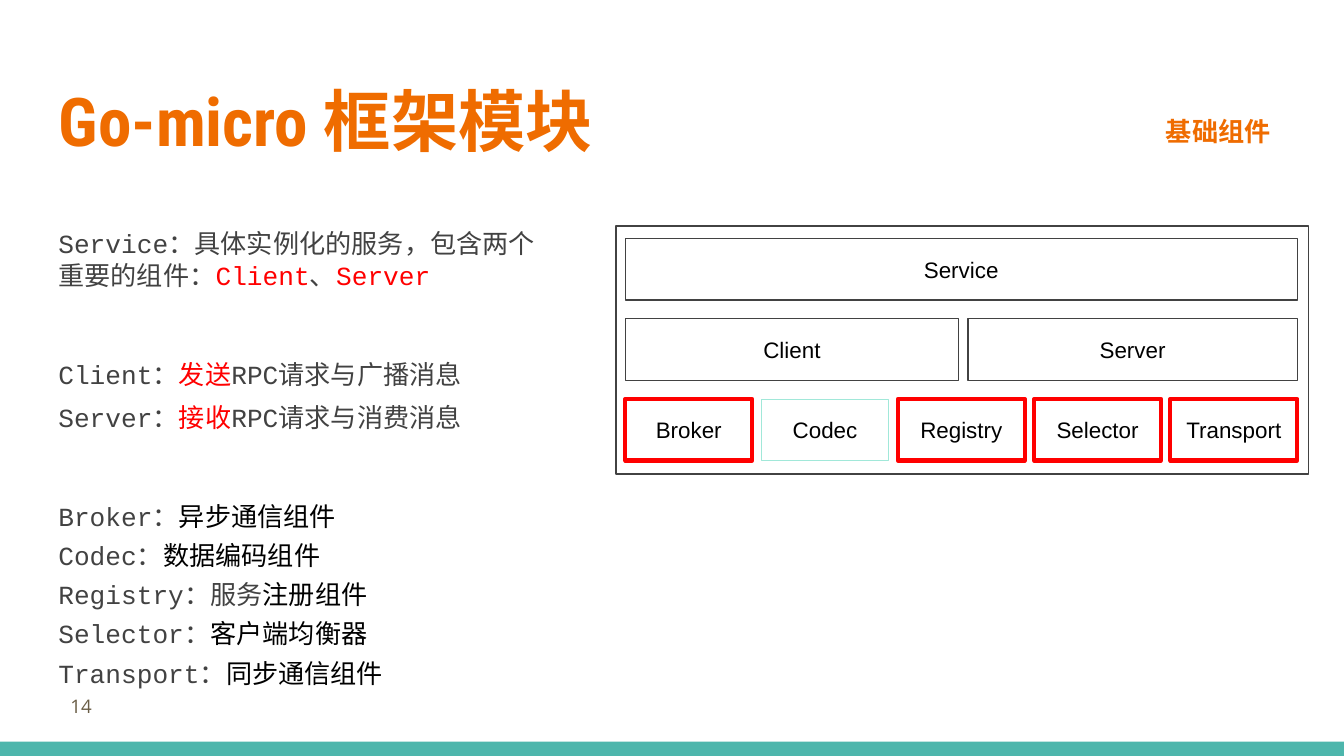
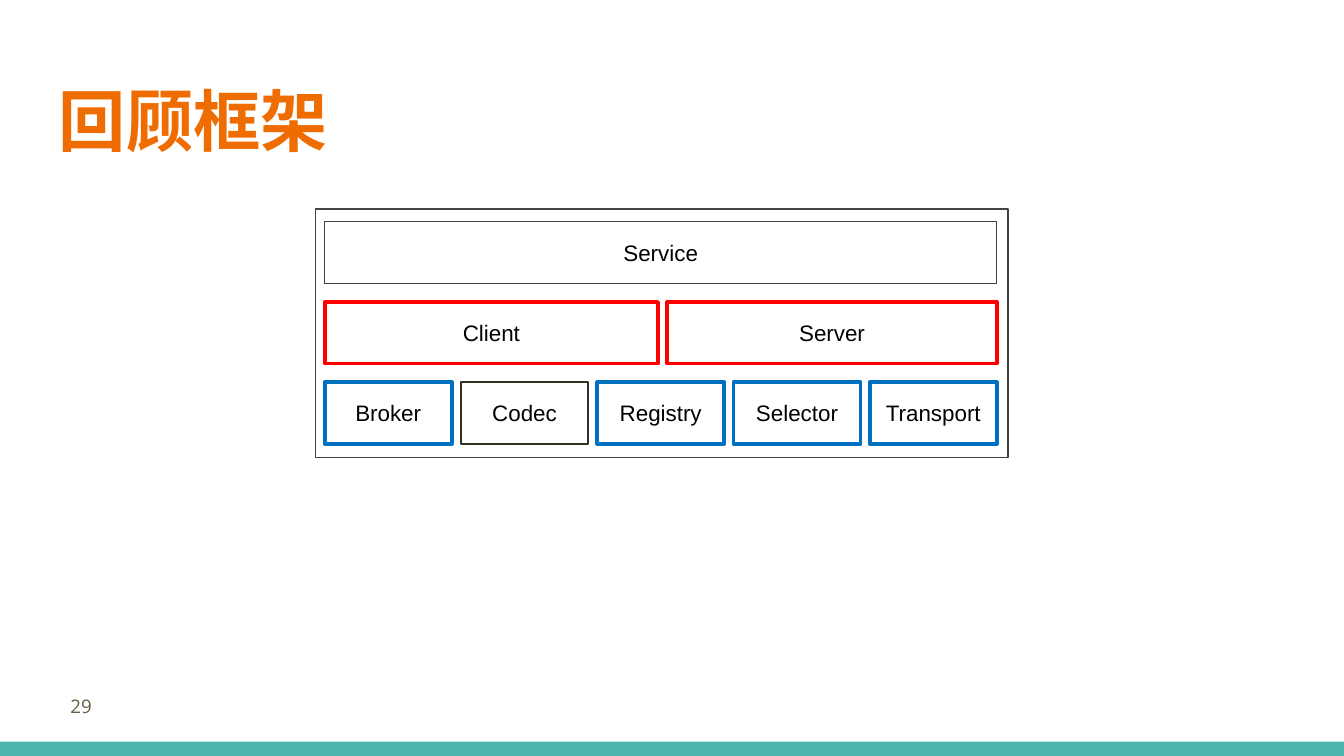
import pptx
import pptx.util
import pptx.dml.color
import pptx.enum.shapes
import pptx.enum.text

Pt = pptx.util.Pt
ALIGN = pptx.enum.text.PP_ALIGN
ANCHOR = pptx.enum.text.MSO_ANCHOR
RECTANGLE = pptx.enum.shapes.MSO_SHAPE.RECTANGLE

ORANGE, TEAL, BROWN = "EF6C00", "4DB6AC", "695D46"
GREY, BLACK, RED, BLUE = "424242", "000000", "FF0000", "0070C0"


def color(value):
    return pptx.dml.color.RGBColor.from_string(value)


def write(shape, runs, font, size, insets=(0, 0, 0, 0), bold=False,
          align=ALIGN.LEFT, anchor=ANCHOR.TOP, wrap=True):
    frame = shape.text_frame
    frame.word_wrap = wrap
    frame.vertical_anchor = anchor
    frame.margin_left, frame.margin_top, frame.margin_right, frame.margin_bottom = map(Pt, insets)
    paragraph = frame.paragraphs[0]
    paragraph.alignment = align
    for text, tint in runs:
        run = paragraph.add_run()
        run.text = text
        run.font.name = font
        run.font.size = Pt(size)
        run.font.bold = bold
        run.font.color.rgb = color(tint)


deck = pptx.Presentation()
deck.slide_width, deck.slide_height = Pt(720), Pt(405)

pages = [
    ("Go-micro 框架模块", "14", (330, 121), (GREY, 0.75), (RED, 2.25), ("A1E8D9", 0.25)),
    ("回顾框架", "29", (169, 112), (RED, 2), (BLUE, 2), ("342E23", 1)),
]

for title, number, (left, top), endpoint_line, plugin_line, codec_line in pages:
    slide = deck.slides.add_slide(deck.slide_layouts[6])

    band = slide.shapes.add_shape(RECTANGLE, 0, Pt(397.3), Pt(720), Pt(7.7))
    band.shadow.inherit = False
    band.fill.solid()
    band.fill.fore_color.rgb = color(TEAL)
    band.line.fill.background()

    heading = slide.shapes.add_textbox(Pt(24.5), Pt(35.3), Pt(671), Pt(55.4))
    write(heading, [(title, ORANGE)], "Roboto Condensed", 36, (7.2,) * 4, bold=True)
    page_number = slide.shapes.add_textbox(Pt(13), Pt(363), Pt(43.2), Pt(31))
    write(page_number, [(number, BROWN)], "Open Sans", 10, (7.2,) * 4,
          align=ALIGN.RIGHT, anchor=ANCHOR.MIDDLE)

    blocks = [
        ("", 0, 0, 371, 133, (GREY, 0.75)),
        ("Service", 5, 6.8, 360, 33, (GREY, 0.75)),
        ("Client", 5, 49.8, 178.5, 33, endpoint_line),
        ("Server", 188.5, 49.8, 176.5, 33, endpoint_line),
    ]
    for column, plugin in enumerate(["Broker", "Codec", "Registry", "Selector", "Transport"]):
        outline = codec_line if plugin == "Codec" else plugin_line
        blocks.append((plugin, 5 + 73 * column, 92.8, 68, 33, outline))

    for label, x, y, width, height, (tint, weight) in blocks:
        block = slide.shapes.add_shape(RECTANGLE, Pt(left + x), Pt(top + y), Pt(width), Pt(height))
        block.shadow.inherit = False
        block.fill.background()
        block.line.color.rgb = color(tint)
        block.line.width = Pt(weight)
        if label:
            write(block, [(label, BLACK)], "Arial", 12, align=ALIGN.CENTER, anchor=ANCHOR.MIDDLE)

modules = deck.slides[0]

descriptions = [
    (121, 35, [("Service：具体实例化的服务，包含两个重要的组件：", GREY),
               ("Client", RED), ("、", GREY), ("Server", RED)]),
    (191, 18, [("Client：", GREY), ("发送", RED), ("RPC请求与广播消息", GREY)]),
    (214, 18, [("Server：", GREY), ("接收", RED), ("RPC请求与消费消息", GREY)]),
]
plugin_roles = [
    ("Broker：", "异步通信组件"),
    ("Codec：", "数据编码组件"),
    ("Registry：服务", "注册组件"),
    ("Selector：", "客户端均衡器"),
    ("Transport：", "同步通信组件"),
]
for row, (plugin, role) in enumerate(plugin_roles):
    descriptions.append((267 + 21 * row, 18, [(plugin, GREY), (role, BLACK)]))

for y, height, runs in descriptions:
    description = modules.shapes.add_textbox(Pt(30.3), Pt(y), Pt(266), Pt(height))
    write(description, runs, "Courier New", 14, (1, 1, 0, 0))

topic = modules.shapes.add_textbox(Pt(617.5), Pt(58.3), Pt(71.3), Pt(24.5))
write(topic, [("基础组件", ORANGE)], "Roboto Condensed", 14, (7.2, 3.6, 7.2, 3.6),
      bold=True, wrap=False)

deck.save("out.pptx")
